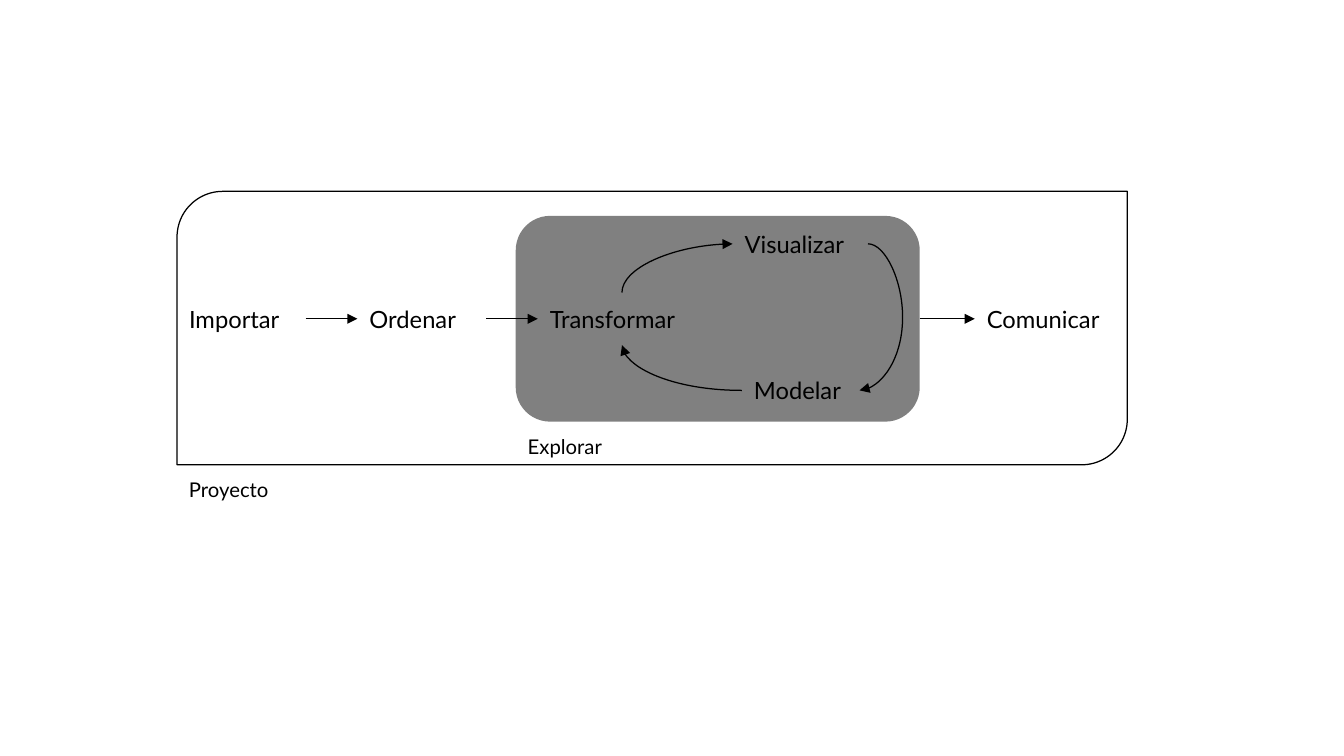
from pptx import Presentation
from pptx.dml.color import RGBColor
from pptx.enum.shapes import MSO_CONNECTOR, MSO_SHAPE
from pptx.enum.text import MSO_ANCHOR
from pptx.oxml.ns import qn
from pptx.oxml.xmlchemy import OxmlElement
from pptx.util import Pt

FRAME = MSO_SHAPE.ROUND_2_DIAG_RECTANGLE
ROUND = MSO_SHAPE.ROUNDED_RECTANGLE
LINE, CURVE = MSO_CONNECTOR.STRAIGHT, MSO_CONNECTOR.CURVE
MIDDLE = MSO_ANCHOR.MIDDLE
INK, GRAY = "000000", "808080"
ROW, NOTE = 31, 28.8


def color(text):
    """Turn a hex string into a colour."""
    return RGBColor.from_string(text)


def panel(slide, kind, box, fill=None, line=None):
    """Draw a plain shape in the box."""
    shape = slide.shapes.add_shape(kind, *map(Pt, box))
    shape.shadow.inherit = False
    shape.adjustments[0] = 0.167
    if fill:
        shape.fill.solid()
        shape.fill.fore_color.rgb = color(fill)
    else:
        shape.fill.background()
    if line:
        shape.line.color.rgb = color(line)
        shape.line.width = Pt(0.75)
    else:
        shape.line.fill.background()


def label(slide, text, left, mid, width, size=14, height=ROW):
    """Write one word, centred on the height mid."""
    box = slide.shapes.add_textbox(Pt(left), Pt(mid - height / 2), Pt(width), Pt(height))
    frame = box.text_frame
    frame.word_wrap = True
    frame.vertical_anchor = MIDDLE
    frame.margin_left = frame.margin_right = Pt(7.2)
    frame.margin_top = frame.margin_bottom = Pt(7.2)
    para = frame.paragraphs[0]
    para.text = text
    para.font.name = "Lato"
    para.font.size = Pt(size)
    para.font.color.rgb = color(INK)


def arrow(slide, start, end, kind=LINE):
    """Draw an arrow from start to end."""
    link = slide.shapes.add_connector(kind, *map(Pt, (*start, *end)))
    link.line.color.rgb = color(INK)
    link.line.width = Pt(0.75)
    head = OxmlElement("a:tailEnd")
    head.set("type", "triangle")
    link.line._get_or_add_ln().append(head)
    link._element.spPr.append(OxmlElement("a:effectLst"))
    return link


def bend(slide, start, end, turn):
    """Draw a quarter curve from start to end, turned by whole right angles."""
    wide, high = abs(end[0] - start[0]), abs(end[1] - start[1])
    if turn % 180:
        wide, high = high, wide
    x, y = (start[0] + end[0]) / 2, (start[1] + end[1]) / 2
    link = arrow(slide, (x - wide / 2, y - high / 2), (x + wide / 2, y + high / 2), CURVE)
    props = link._element.spPr
    props.find(qn("a:xfrm")).set("rot", str(turn * 60000))
    props.find(qn("a:prstGeom")).set("prst", "curvedConnector2")


def loop(slide, start, end, bulge):
    """Draw a curve that swings out by bulge, to the right of start."""
    link = arrow(slide, start, end, CURVE)
    geom = link._element.spPr.find(qn("a:prstGeom"))
    guide = OxmlElement("a:gd")
    guide.set("name", "adj1")
    guide.set("fmla", f"val {round(-bulge / (start[0] - end[0]) * 100000)}")
    geom.get_or_add_avLst().append(guide)


def explore(slide, box):
    """Draw the gray cycle of transforming, showing and modelling."""
    left, top, width, height = box
    mid, high, low = top + height / 2, top + 16.5, top + height - 18.5
    turn, show, model = left + 62.7, left + 128, left + 133.5
    panel(slide, ROUND, box, fill=GRAY)
    label(slide, "Transformar", left + 13, mid, 107.5)
    label(slide, "Visualizar", show, high, 91.5)
    label(slide, "Modelar", model, low, 72)
    bend(slide, (turn, mid - ROW / 2), (show, high), 270)
    loop(slide, (left + 208, high), (left + 203, low), 20.5)
    bend(slide, (model, low), (turn, mid + ROW / 2), 180)
    label(slide, "Explorar", left, top + height + NOTE / 2, 78, 12, NOTE)


def project(slide, box):
    """Draw the whole project, from import to report."""
    left, top, width, height = box
    core = (left + 200, top + 14.5, 238.5, 121.5)
    mid, step, word = core[1] + core[3] / 2, 106.5, 76
    panel(slide, FRAME, box, line=INK)
    explore(slide, core)
    for i, text in enumerate(("Importar", "Ordenar")):
        x = left + i * step
        label(slide, text, x, mid, word)
        arrow(slide, (x + word, mid), (x + step, mid))
    last = left + 471
    arrow(slide, (core[0] + core[2], mid), (last, mid))
    label(slide, "Comunicar", last, mid, 90.5)
    label(slide, "Proyecto", left, top + height + NOTE / 2, 80, 12, NOTE)


def main():
    """Build and save the slide."""
    deck = Presentation()
    deck.slide_width, deck.slide_height = Pt(793.44), Pt(446.4)
    slide = deck.slides.add_slide(deck.slide_layouts[6])
    project(slide, (104.5, 113, 561, 161.5))
    deck.save("out.pptx")


if __name__ == "__main__":
    main()
